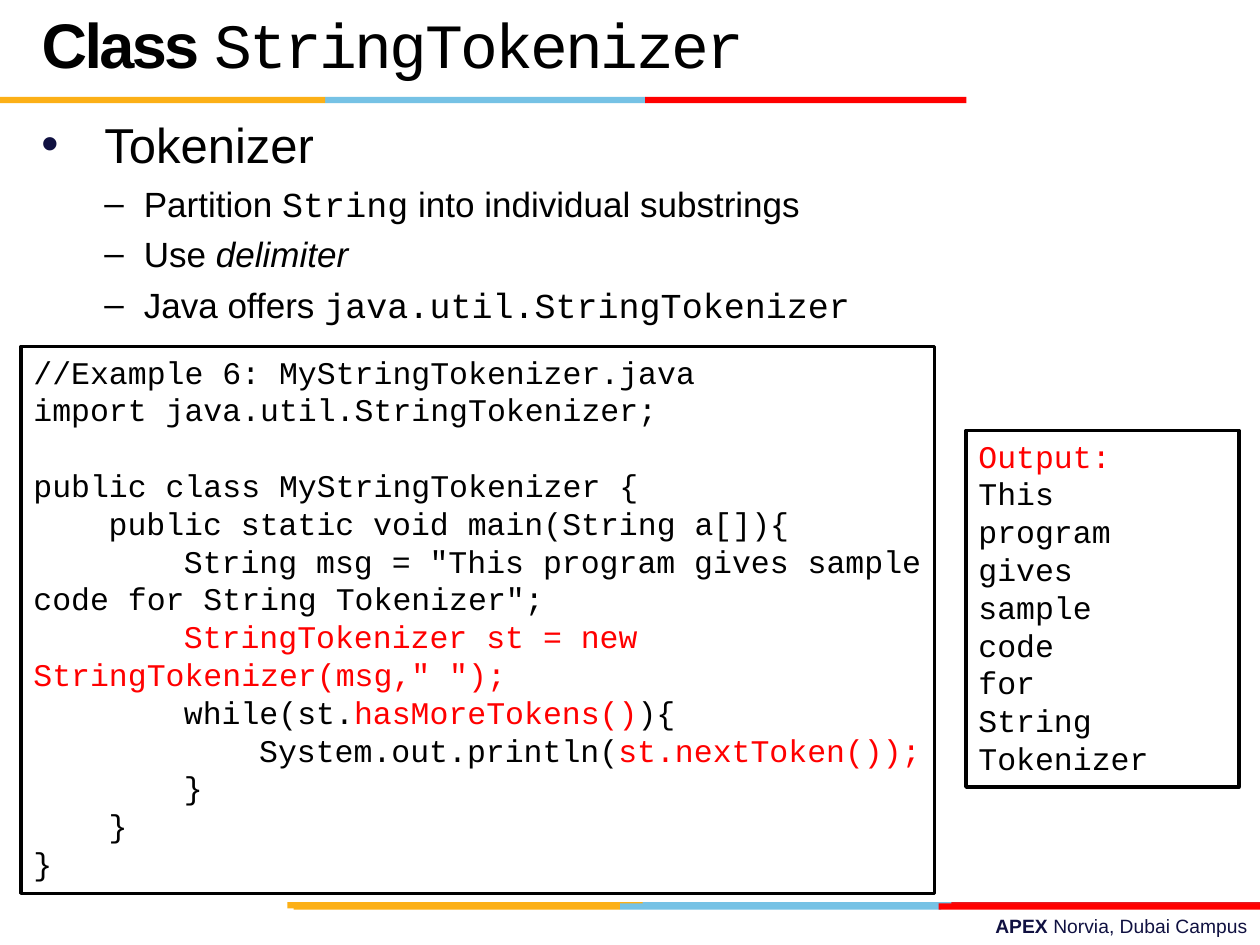
import pptx
import pptx.util
import pptx.dml.color
import pptx.enum.shapes
import pptx.enum.text
import pptx.oxml.ns
import lxml.etree

Pt = pptx.util.Pt
ALIGN = pptx.enum.text.PP_ALIGN
ANCHOR = pptx.enum.text.MSO_ANCHOR
FIT = pptx.enum.text.MSO_AUTO_SIZE
RECT = pptx.enum.shapes.MSO_SHAPE.RECTANGLE


class Theme:
    sans, mono = "Arial", "Courier New"
    black, white, red = "000000", "FFFFFF", "FF0000"
    navy, amber, sky, crimson = "101141", "FCB017", "76C2E5", "E31C24"
    title, topic, point, code, footer = 36, 28, 20, 18, 11
    code_indent, code_line = 43, 21.6


STRIPES = [
    (515.5, 3.6, [(364.3, 183.6, Theme.sky), (543.6, 176.4, Theme.crimson),
                  (164.2, 203, Theme.amber)]),
    (516.2, 3.6, [(354.2, 183.6, Theme.sky), (167.8, 186.4, Theme.amber),
                  (536.4, 183.6, Theme.red)]),
    (55.4, 3.6, [(185.8, 183, Theme.sky), (0, 185.8, Theme.amber),
                 (368.6, 183.6, Theme.red)]),
]

TITLE = [("Class ", {"bold": True}), ("StringTokenizer", {"name": Theme.mono, "bold": False})]

POINTS = [
    [("Partition ", {}), ("String", {"name": Theme.mono}), (" into individual substrings", {})],
    [("Use ", {}), ("delimiter", {"italic": True})],
    [("Java offers ", {}), ("java.util.StringTokenizer", {"name": Theme.mono})],
]

HOT = {"color": Theme.red}
CODE = [
    (0, 0, [("//Example 6: MyStringTokenizer.java", {})]),
    (0, 0, [("import java.util.StringTokenizer;", {})]),
    (0, 1, [("public class MyStringTokenizer {", {})]),
    (1, 0, [("public static void main(String a[]){", {})]),
    (2, 0, [('String msg = "This program gives sample code for String Tokenizer";', {})]),
    (2, 0, [('StringTokenizer st = new StringTokenizer(msg," ");', HOT)]),
    (2, 0, [("while(st.", {}), ("hasMoreTokens()", HOT), ("){", {})]),
    (3, 0, [("System.out.println(", {}), ("st.nextToken());", HOT)]),
    (2, 0, [("}", {})]),
    (1, 0, [("}", {})]),
    (0, 0, [("}", {})]),
]

OUTPUT = [(0, 0, [("Output:", HOT)])] + [
    (0, 0, [(token, {})])
    for token in "This program gives sample code for String Tokenizer".split()
]


def apply(target, formats):
    for attribute, value in formats.items():
        setattr(target, attribute, value)


def set_indent(paragraph, left, first):
    properties = paragraph._p.get_or_add_pPr()
    properties.set("marL", str(int(Pt(left))))
    properties.set("indent", str(int(Pt(first))))
    return properties


def set_bullet(paragraph, mark, left, hanging, color):
    properties = set_indent(paragraph, left, -hanging)
    qn = pptx.oxml.ns.qn
    tint = lxml.etree.SubElement(properties, qn("a:buClr"))
    lxml.etree.SubElement(tint, qn("a:srgbClr")).set("val", color)
    lxml.etree.SubElement(properties, qn("a:buFont")).set("typeface", Theme.sans)
    lxml.etree.SubElement(properties, qn("a:buChar")).set("char", mark)


def write(paragraph, runs, size, name=Theme.sans, color=Theme.black):
    for words, changes in runs:
        run = paragraph.add_run()
        run.text = words
        formats = {"size": Pt(size), "name": name, "color": color, **changes}
        ink = formats.pop("color")
        run.font.color.rgb = pptx.dml.color.RGBColor.from_string(ink)
        apply(run.font, formats)


def next_paragraph(frame, index, **formats):
    paragraph = frame.add_paragraph() if index else frame.paragraphs[0]
    apply(paragraph, formats)
    return paragraph


def add_rectangle(slide, left, top, width, height, fill, outline=None):
    rectangle = slide.shapes.add_shape(RECT, Pt(left), Pt(top), Pt(width), Pt(height))
    rectangle.shadow.inherit = False
    rectangle.fill.solid()
    rectangle.fill.fore_color.rgb = pptx.dml.color.RGBColor.from_string(fill)
    if outline:
        rectangle.line.color.rgb = pptx.dml.color.RGBColor.from_string(outline)
        rectangle.line.width = Pt(2)
    else:
        rectangle.line.fill.background()
    return rectangle


def add_textbox(slide, left, top, width, height):
    frame = slide.shapes.add_textbox(Pt(left), Pt(top), Pt(width), Pt(height)).text_frame
    frame.word_wrap = True
    return frame


def add_listing(slide, left, top, width, height, lines):
    panel = add_rectangle(slide, left, top, width, height, Theme.white, Theme.black)
    frame = panel.text_frame
    apply(frame, {"word_wrap": True, "vertical_anchor": ANCHOR.TOP,
                  "auto_size": FIT.SHAPE_TO_FIT_TEXT})
    for index, (depth, gap, runs) in enumerate(lines):
        paragraph = next_paragraph(frame, index, alignment=ALIGN.LEFT,
                                   space_before=Pt(gap * Theme.code_line))
        set_indent(paragraph, 0, depth * Theme.code_indent)
        write(paragraph, runs, Theme.code, Theme.mono)


def add_title(slide):
    title = slide.shapes.title
    apply(title, {"left": Pt(16.6), "top": Pt(13.7), "width": Pt(498.2), "height": Pt(28.8)})
    apply(title.text_frame, {"word_wrap": True, "vertical_anchor": ANCHOR.MIDDLE,
                             "auto_size": FIT.NONE})
    paragraph = next_paragraph(title.text_frame, 0, alignment=ALIGN.LEFT,
                               line_spacing=Pt(36), space_before=Pt(0))
    write(paragraph, TITLE, Theme.title)
    for run in paragraph.runs:
        run.font._element.set("spc", "-150")


def add_points(slide):
    frame = add_textbox(slide, 16.6, 61.9, 691.2, 147.6)
    topic = next_paragraph(frame, 0, space_before=Pt(6))
    set_bullet(topic, "•", 36, 36, Theme.navy)
    write(topic, [("Tokenizer", {})], Theme.topic)
    for index, runs in enumerate(POINTS, 1):
        point = next_paragraph(frame, index, level=1, space_before=Pt(5))
        set_bullet(point, "–", 58.5, 22.5, Theme.black)
        write(point, runs, Theme.point)


def add_footer(slide):
    frame = add_textbox(slide, 257.8, 519.1, 462.2, 20.9)
    paragraph = next_paragraph(frame, 0, alignment=ALIGN.RIGHT)
    write(paragraph, [("APEX ", {"bold": True}), ("Norvia, Dubai Campus", {})],
          Theme.footer, color=Theme.navy)


def main():
    deck = pptx.Presentation()
    apply(deck, {"slide_width": Pt(720), "slide_height": Pt(540)})
    slide = deck.slides.add_slide(deck.slide_layouts[5])
    add_footer(slide)
    for top, height, bars in STRIPES:
        for left, width, color in bars:
            add_rectangle(slide, left, top, width, height, color)
    add_points(slide)
    add_title(slide)
    add_listing(slide, 12, 198, 522, 312.5, CODE)
    add_listing(slide, 552, 246, 156, 203.8, OUTPUT)
    deck.save("out.pptx")


main()
